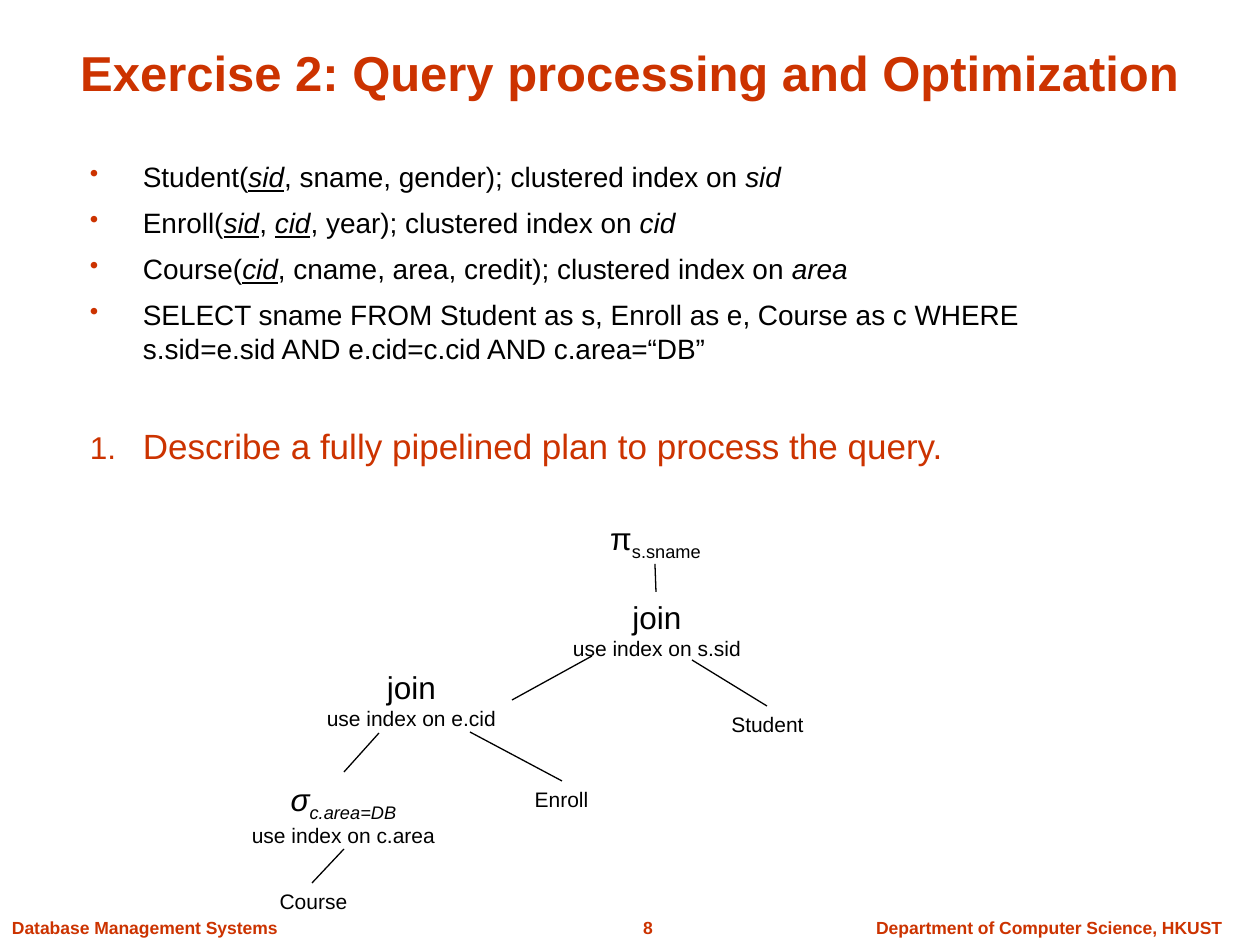
from lxml import etree
from pptx import Presentation
from pptx.dml.color import RGBColor
from pptx.enum.shapes import MSO_CONNECTOR
from pptx.enum.text import MSO_ANCHOR, PP_ALIGN
from pptx.oxml.ns import qn
from pptx.util import Pt

EMU_PER_PX = 914400 / 126
LEFT, CENTER = PP_ALIGN.LEFT, PP_ALIGN.CENTER
TOP, BOTTOM = MSO_ANCHOR.TOP, MSO_ANCHOR.BOTTOM
STRAIGHT = MSO_CONNECTOR.STRAIGHT
FONT, RED, BLACK = "Arial", "CC3300", "000000"


def px(length):
    return round(length * EMU_PER_PX)


def rgb(color):
    return RGBColor.from_string(color)


def add_frame(slide, box, wrap=True, anchor=TOP):
    frame = slide.shapes.add_textbox(*map(px, box)).text_frame
    frame.word_wrap = wrap
    frame.vertical_anchor = anchor
    frame.margin_left = frame.margin_right = px(12)
    frame.margin_top = frame.margin_bottom = px(6)
    return frame


def add_bullet(paragraph, kind, **attributes):
    """Give a paragraph a hanging indent and a red mark."""
    properties = paragraph._p.get_or_add_pPr()
    properties.set("marL", str(px(53)))
    properties.set("indent", str(px(-53)))
    color = etree.SubElement(properties, qn("a:buClr"))
    etree.SubElement(color, qn("a:srgbClr"), val=RED)
    etree.SubElement(properties, qn("a:buSzPct"), val="90000")
    etree.SubElement(properties, qn(kind), **attributes)


def write(paragraph, runs, size, color=BLACK, bold=False, align=LEFT):
    """Runs are (text, style) pairs; style letters: i italic, u underline, s subscript."""
    paragraph.alignment = align
    font = paragraph.font
    font.name, font.size, font.bold = FONT, Pt(size), bold
    font.color.rgb = rgb(color)
    for text, style in runs:
        run = paragraph.add_run()
        run.text = text
        if "i" in style:
            run.font.italic = True
        if "u" in style:
            run.font.underline = True
        if "s" in style:
            run.font._element.set("baseline", "-25000")


def paragraphs(frame, count):
    return [frame.paragraphs[0]] + [frame.add_paragraph() for _ in range(count - 1)]


def add_title(slide, box):
    heading = add_frame(slide, box, anchor=BOTTOM).paragraphs[0]
    write(heading, [("Exercise 2: Query processing and Optimization", "")],
          28, RED, True, CENTER)


def add_exercise(slide, box):
    schema = [
        [("Student(", ""), ("sid", "iu"),
         (", sname, gender); clustered index on ", ""), ("sid", "i")],
        [("Enroll(", ""), ("sid", "iu"), (", ", ""), ("cid", "iu"),
         (", year); clustered index on ", ""), ("cid", "i")],
        [("Course(", ""), ("cid", "iu"),
         (", cname, area, credit); clustered index on ", ""), ("area", "i")],
        [("SELECT sname FROM Student as s, Enroll as e, Course as c WHERE "
          "s.sid=e.sid AND e.cid=c.cid AND c.area=“DB”", "")],
    ]
    *items, question = paragraphs(add_frame(slide, box), len(schema) + 1)
    for index, (item, runs) in enumerate(zip(items, schema)):
        if index:
            item.space_before = Pt(7)
        add_bullet(item, "a:buChar", char="•")
        write(item, runs, 16)
    question.space_before = Pt(34)
    add_bullet(question, "a:buAutoNum", type="arabicPeriod")
    write(question, [("Describe a fully pipelined plan to process the query.", "")], 20, RED)


def add_plan_tree(slide, left, top):
    # Operators and relations: box, then (runs, size) for each line
    nodes = [
        ((341, 0, 155, 55), [([("π", ""), ("s.sname", "s")], 18)]),
        ((307, 79, 226, 76), [([("join", "")], 18), ([("use index on s.sid", "")], 12)]),
        ((73, 149, 203, 76), [([("join", "")], 18), ([("use index on e.cid", "")], 12)]),
        ((0, 261, 213, 81), [([("σ", "i"), ("c.area=DB", "is")], 18),
                             ([("use index on c.area", "")], 12)]),
        ((479, 193, 103, 38), [([("Student", "")], 12)]),
        ((285, 268, 79, 38), [([("Enroll", "")], 12)]),
        ((14, 370, 125, 38), [([("Course", "")], 12)]),
    ]
    for (x, y, width, height), lines in nodes:
        frame = add_frame(slide, (left + x, top + y, width, height))
        for paragraph, (runs, size) in zip(paragraphs(frame, len(lines)), lines):
            write(paragraph, runs, size, align=CENTER)

    # Branches from child to parent
    branches = [
        (419, 79, 418, 51), (275, 187, 355, 143), (530, 193, 455, 147),
        (107, 259, 142, 220), (325, 268, 233, 219), (75, 370, 107, 336),
    ]
    for x1, y1, x2, y2 in branches:
        branch = slide.shapes.add_connector(
            STRAIGHT, px(left + x1), px(top + y1), px(left + x2), px(top + y2))
        branch.line.color.rgb = rgb(BLACK)
        branch.line.width = Pt(0.75)
        etree.SubElement(branch._element.spPr, qn("a:effectLst"))


def add_footer(slide, top, height):
    parts = [
        (0, 290, "Database Management Systems", LEFT, False),
        (593, 110, "8", CENTER, False),
        (833, 432, "Department of Computer Science, HKUST", CENTER, True),
    ]
    for left, width, text, align, wrap in parts:
        part = add_frame(slide, (left, top, width, height), wrap).paragraphs[0]
        write(part, [(text, "")], 10, RED, True, align)


def main():
    deck = Presentation()
    deck.slide_width, deck.slide_height = px(1260), px(945)
    slide = deck.slides.add_slide(deck.slide_layouts[6])
    add_footer(slide, 911, 34)
    add_exercise(slide, (78, 154, 1081, 386))
    add_title(slide, (43, 23, 1173, 84))
    add_plan_tree(slide, 237, 513)
    deck.save("out.pptx")


if __name__ == "__main__":
    main()
